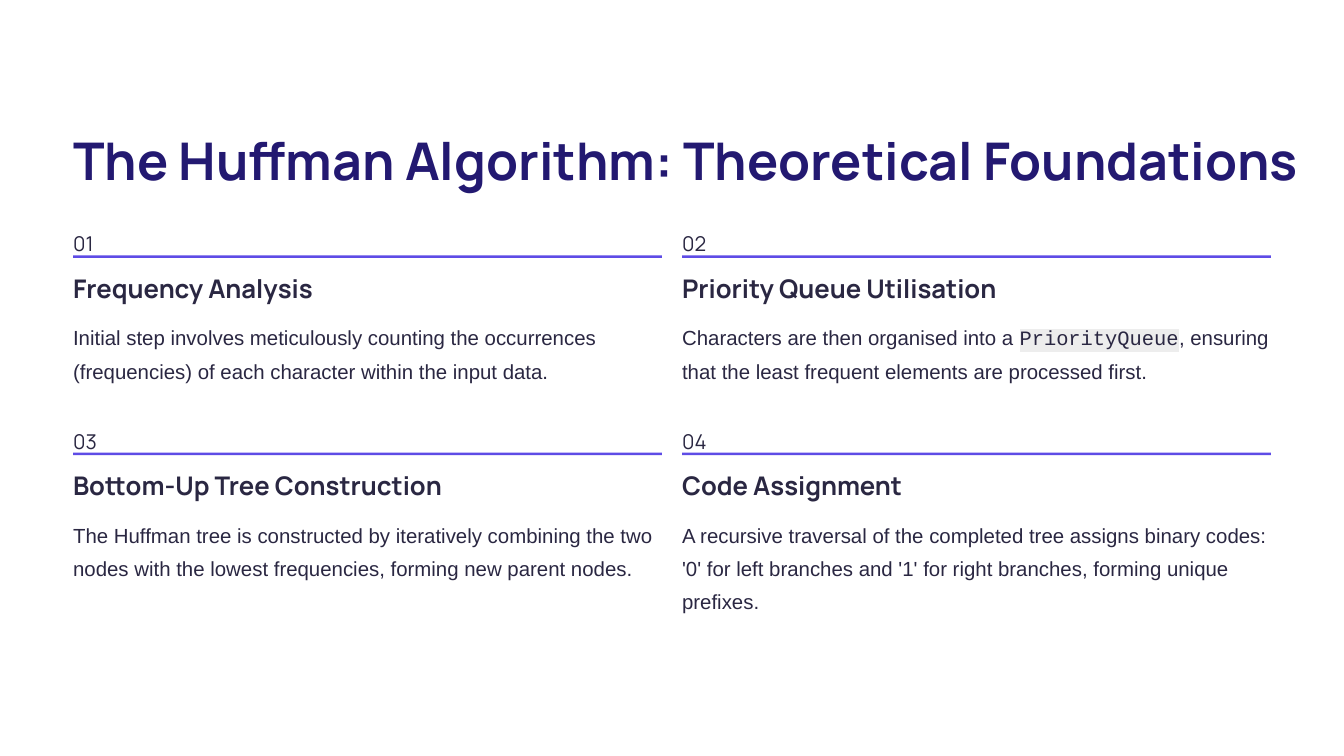
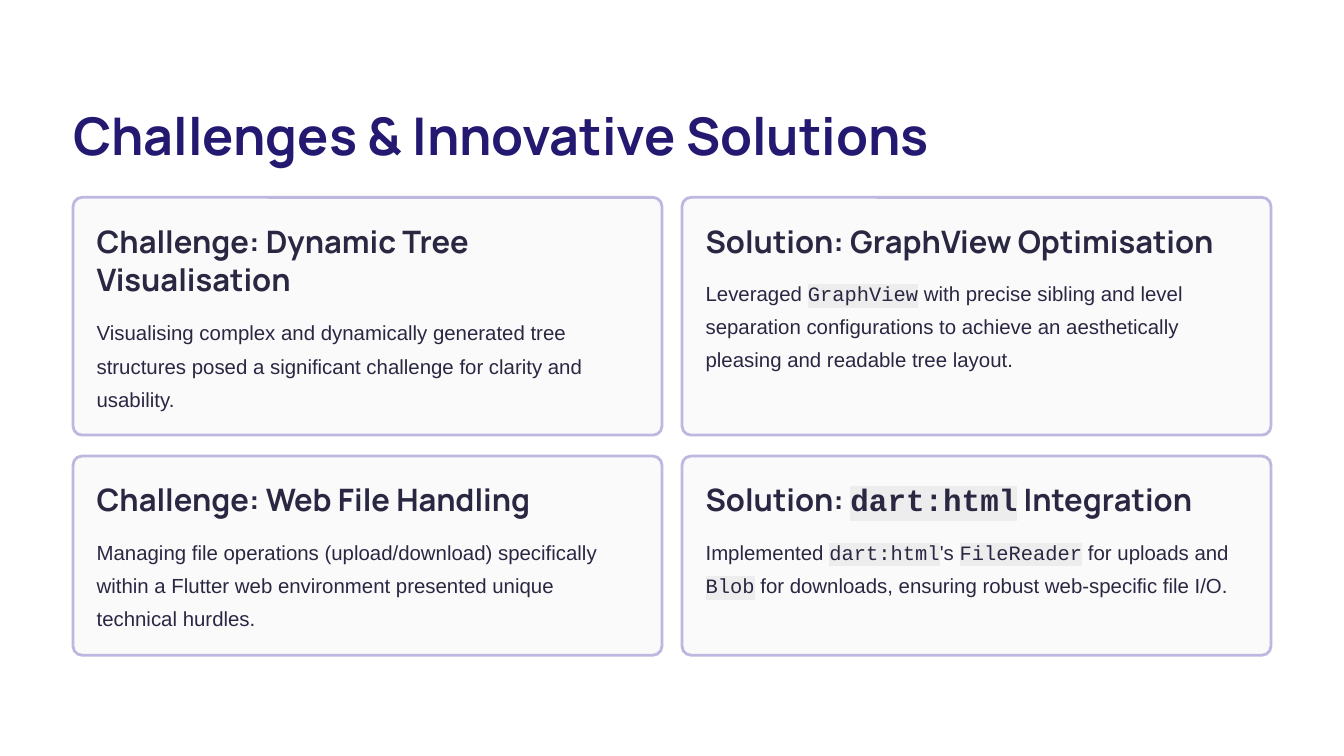
from dataclasses import dataclass

import pptx
import pptx.dml.color
import pptx.enum.shapes
import pptx.enum.text
import pptx.oxml
import pptx.oxml.ns
import pptx.util

Inches = pptx.util.Inches


@dataclass(frozen=True)
class TextStyle:
    font: str
    size: float
    line_spacing: float
    color: str
    bold: bool = False


class Theme:
    ink = "2A2742"
    accent = "5E4CE6"
    card_fill = "FAFAFA"
    card_opacity = 95
    card_line = "BDB8DF"
    code_highlight = "EDEDED"
    code_font = "Courier New"
    title = TextStyle("Manrope", 44.5, 55.5, "231971", True)
    number = TextStyle("Manrope", 17.5, 28.5, ink)
    step_heading = TextStyle("Manrope", 22, 27.5, ink, True)
    card_heading = TextStyle("Manrope", 26.5, 33, ink, True)
    body = TextStyle("Arial", 17.5, 28.5, ink)


# Shared title width and two-column grid, in inches
LEFT = 0.87
TITLE_WIDTH = 14.9
COLUMN_WIDTH = 7.01
COLUMN_PITCH = 7.25

# Backticks mark code within the text
STEPS = [
    ("Frequency Analysis",
     "Initial step involves meticulously counting the occurrences (frequencies) "
     "of each character within the input data."),
    ("Priority Queue Utilisation",
     "Characters are then organised into a `PriorityQueue`, ensuring that the "
     "least frequent elements are processed first."),
    ("Bottom-Up Tree Construction",
     "The Huffman tree is constructed by iteratively combining the two nodes "
     "with the lowest frequencies, forming new parent nodes."),
    ("Code Assignment",
     "A recursive traversal of the completed tree assigns binary codes: '0' for "
     "left branches and '1' for right branches, forming unique prefixes."),
]

# Each row: top, height, cards; each card: heading, heading lines, body
CARD_ROWS = [
    (2.35, 2.83, [
        ("Challenge: Dynamic Tree Visualisation", 2,
         "Visualising complex and dynamically generated tree structures posed a "
         "significant challenge for clarity and usability."),
        ("Solution: GraphView Optimisation", 1,
         "Leveraged `GraphView` with precise sibling and level separation "
         "configurations to achieve an aesthetically pleasing and readable tree layout."),
    ]),
    (5.43, 2.37, [
        ("Challenge: Web File Handling", 1,
         "Managing file operations (upload/download) specifically within a Flutter "
         "web environment presented unique technical hurdles."),
        ("Solution: `dart:html` Integration", 1,
         "Implemented `dart:html`'s `FileReader` for uploads and `Blob` for "
         "downloads, ensuring robust web-specific file I/O."),
    ]),
]


def rgb(color):
    return pptx.dml.color.RGBColor.from_string(color)


def highlight(run, color):
    """Put a highlight behind a run whose colour is already set."""
    element = pptx.oxml.parse_xml(
        f'<a:highlight {pptx.oxml.ns.nsdecls("a")}><a:srgbClr val="{color}"/></a:highlight>')
    run.font._element.find(pptx.oxml.ns.qn("a:solidFill")).addnext(element)


def write_text(shape, text, style):
    frame = shape.text_frame
    frame.margin_left = frame.margin_right = frame.margin_top = frame.margin_bottom = 0
    frame.auto_size = pptx.enum.text.MSO_AUTO_SIZE.NONE
    frame.vertical_anchor = pptx.enum.text.MSO_ANCHOR.TOP
    frame.word_wrap = True
    paragraph = frame.paragraphs[0]
    paragraph.alignment = pptx.enum.text.PP_ALIGN.LEFT
    paragraph.line_spacing = pptx.util.Pt(style.line_spacing)
    for index, part in enumerate(text.split("`")):
        is_code = index % 2 == 1
        run = paragraph.add_run()
        run.text = part
        run.font.size = pptx.util.Pt(style.size)
        run.font.bold = style.bold
        run.font.color.rgb = rgb(style.color)
        run.font.name = Theme.code_font if is_code else style.font
        if is_code:
            highlight(run, Theme.code_highlight)


def add_text(slide, left, top, width, height, text, style):
    box = slide.shapes.add_textbox(Inches(left), Inches(top), Inches(width), Inches(height))
    write_text(box, text, style)


def add_filled_shape(slide, kind, left, top, width, height, color):
    shape = slide.shapes.add_shape(
        kind, Inches(left), Inches(top), Inches(width), Inches(height))
    shape.shadow.inherit = False
    shape.fill.solid()
    shape.fill.fore_color.rgb = rgb(color)
    shape.line.fill.background()
    return shape


def add_titled_slide(presentation, text, top):
    slide = presentation.slides.add_slide(presentation.slide_layouts[5])
    title = slide.shapes.title
    title.left, title.top = Inches(LEFT), Inches(top)
    title.width, title.height = Inches(TITLE_WIDTH), Inches(0.78)
    write_text(title, text, Theme.title)
    return slide


def add_step(slide, left, top, width, number, heading, body):
    # Number above its rule
    add_text(slide, left, top, width, 0.31, number, Theme.number)
    add_filled_shape(slide, pptx.enum.shapes.MSO_SHAPE.RECTANGLE,
                     left, top + 0.39, width, 0.03, Theme.accent)
    # Heading and explanation
    add_text(slide, left, top + 0.58, width, 0.39, heading, Theme.step_heading)
    add_text(slide, left, top + 1.12, width, 1.19, body, Theme.body)


def add_card(slide, left, top, width, height, heading, heading_lines, body):
    # Rounded, slightly transparent panel
    panel = add_filled_shape(slide, pptx.enum.shapes.MSO_SHAPE.ROUNDED_RECTANGLE,
                             left, top, width, height, Theme.card_fill)
    panel.adjustments[0] = 0.105 / height
    color = panel._element.spPr.find(
        pptx.oxml.ns.qn("a:solidFill")).find(pptx.oxml.ns.qn("a:srgbClr"))
    color.append(pptx.oxml.parse_xml(
        f'<a:alpha {pptx.oxml.ns.nsdecls("a")} val="{Theme.card_opacity * 1000}"/>'))
    panel.line.color.rgb = rgb(Theme.card_line)
    panel.line.width = pptx.util.Pt(2.4)
    # Heading and explanation inside the padding
    padding = 0.28
    inner_left, inner_width = left + padding, width - 2 * padding
    heading_top = top + padding
    heading_height = 0.47 * heading_lines
    add_text(slide, inner_left, heading_top, inner_width, heading_height,
             heading, Theme.card_heading)
    add_text(slide, inner_left, heading_top + heading_height + 0.14, inner_width, 1.19,
             body, Theme.body)


def build_foundations_slide(presentation):
    slide = add_titled_slide(
        presentation, "The Huffman Algorithm: Theoretical Foundations", 1.5)
    for index, (heading, body) in enumerate(STEPS):
        row, column = divmod(index, 2)
        add_step(slide, LEFT + column * COLUMN_PITCH, 2.65 + row * 2.35, COLUMN_WIDTH,
                 f"{index + 1:02d}", heading, body)


def build_challenges_slide(presentation):
    slide = add_titled_slide(presentation, "Challenges & Innovative Solutions", 1.2)
    for top, height, cards in CARD_ROWS:
        for column, card in enumerate(cards):
            add_card(slide, LEFT + column * COLUMN_PITCH, top, COLUMN_WIDTH, height, *card)


def main():
    presentation = pptx.Presentation()
    presentation.slide_width = Inches(16)
    presentation.slide_height = Inches(9)
    build_foundations_slide(presentation)
    build_challenges_slide(presentation)
    presentation.save("out.pptx")


if __name__ == "__main__":
    main()
